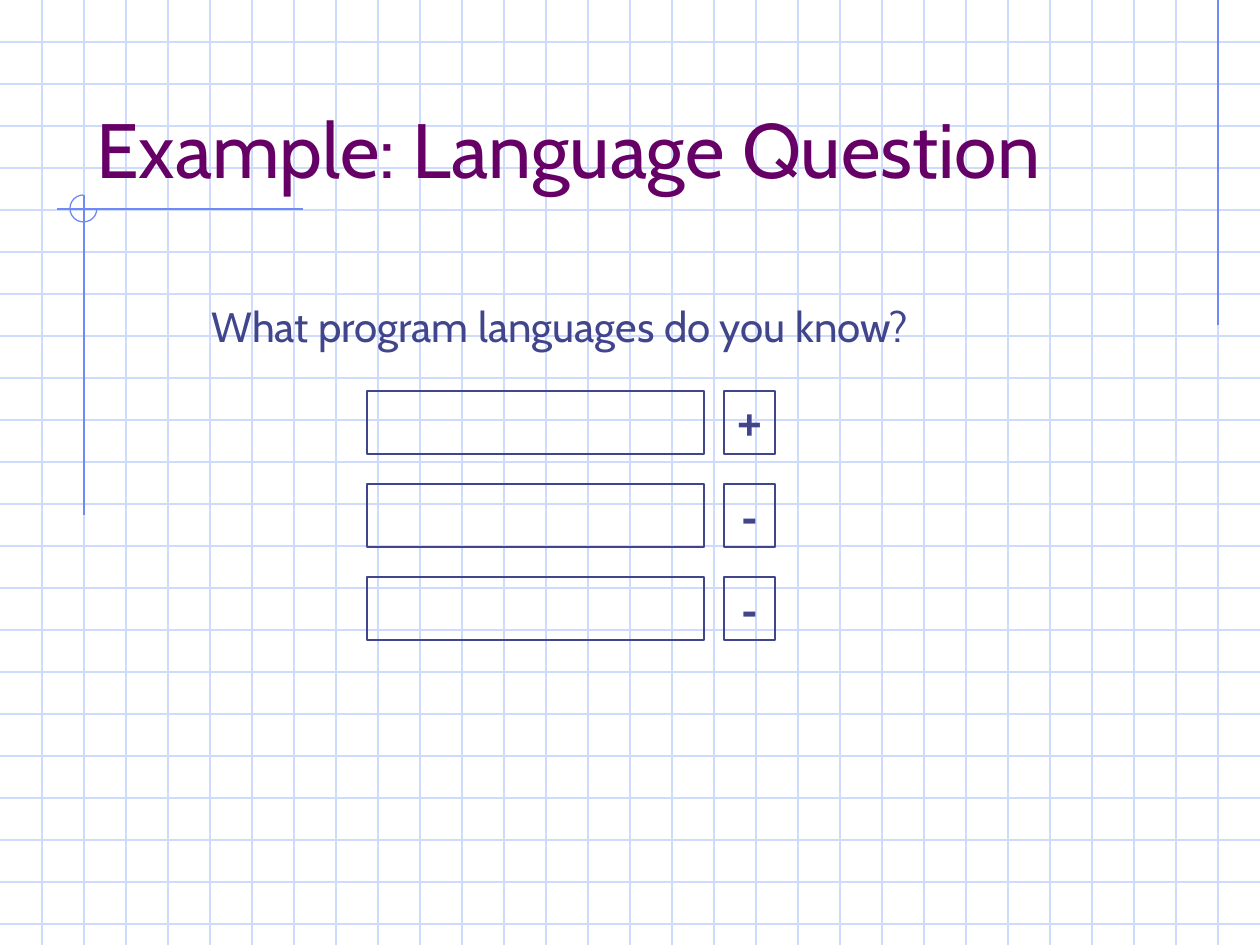
import pptx
import pptx.dml.color
import pptx.enum.shapes
import pptx.enum.text
import pptx.oxml.xmlchemy
import pptx.util

EMU_PER_PX = 914400 / 126
WIDTH, HEIGHT = 1260, 945
GRID_STEP = 42

GRID_BLUE = pptx.dml.color.RGBColor(0xCF, 0xDB, 0xFD)
ACCENT_BLUE = pptx.dml.color.RGBColor(0x6F, 0x89, 0xF7)
PURPLE = pptx.dml.color.RGBColor(0x66, 0x00, 0x66)
INDIGO = pptx.dml.color.RGBColor(0x40, 0x45, 0x8C)

SHAPES = pptx.enum.shapes.MSO_SHAPE
ALIGN = pptx.enum.text.PP_ALIGN
ANCHOR = pptx.enum.text.MSO_ANCHOR


def px(*lengths):
    return [pptx.util.Emu(round(length * EMU_PER_PX)) for length in lengths]


class SlideBuilder:
    line_width = pptx.util.Pt(0.75)
    body_font = "Cabin"
    symbol_font = "Courier New"

    def __init__(self, slide):
        self.slide = slide

    def line(self, x1, y1, x2, y2, color):
        connector = self.slide.shapes.add_connector(
            pptx.enum.shapes.MSO_CONNECTOR.STRAIGHT, *px(x1, y1, x2, y2))
        connector.line.color.rgb = color
        connector.line.width = self.line_width
        properties = connector._element.spPr
        properties.append(pptx.oxml.xmlchemy.OxmlElement("a:effectLst"))

    def outline(self, preset, left, top, width, height, color):
        shape = self.slide.shapes.add_shape(preset, *px(left, top, width, height))
        shape.shadow.inherit = False
        shape.fill.background()
        shape.line.color.rgb = color
        shape.line.width = self.line_width
        return shape

    def text(self, text, left, top, width, height, size, color, font=None,
             bold=False, align=ALIGN.LEFT, anchor=ANCHOR.TOP, wrap=True):
        box = self.slide.shapes.add_textbox(*px(left, top, width, height))
        frame = box.text_frame
        frame.word_wrap = wrap
        frame.vertical_anchor = anchor
        paragraph = frame.paragraphs[0]
        paragraph.text = text
        paragraph.alignment = align
        paragraph.font.name = font or self.body_font
        paragraph.font.size = pptx.util.Pt(size)
        paragraph.font.bold = bold
        paragraph.font.color.rgb = color


def main():
    presentation = pptx.Presentation()
    presentation.slide_width, presentation.slide_height = px(WIDTH, HEIGHT)
    slide = presentation.slides.add_slide(presentation.slide_layouts[6])
    builder = SlideBuilder(slide)

    # Graph paper
    for y in range(GRID_STEP, HEIGHT, GRID_STEP):
        builder.line(0, y, WIDTH, y, GRID_BLUE)
    for x in range(GRID_STEP, WIDTH, GRID_STEP):
        builder.line(x, 0, x, HEIGHT, GRID_BLUE)

    # Accent lines and three-quarter circle
    builder.line(1218, 0, 1218, 325, ACCENT_BLUE)
    builder.line(303, 209, 57, 209, ACCENT_BLUE)
    builder.line(84, 195, 84, 515, ACCENT_BLUE)
    arc = builder.outline(SHAPES.ARC, 70, 195, 27, 27, ACCENT_BLUE)
    arc.adjustments[0] = 0
    arc.adjustments[1] = 162  # 270 degrees

    # Title and question
    builder.text("Example: Language Question", 84, 42, 1071, 158, 44, PURPLE,
                 anchor=ANCHOR.BOTTOM)
    builder.text("What program languages do you know?", 199, 294, 813, 63, 24, INDIGO)

    # Answer fields, each with its add or remove button
    for row, symbol in enumerate(["+", "-", "-"]):
        top = 391 + 93 * row
        builder.outline(SHAPES.RECTANGLE, 367, top, 337, 63, INDIGO)
        builder.text(symbol, 724, top, 51, 63, 24, INDIGO, builder.symbol_font,
                     bold=True, align=ALIGN.CENTER, wrap=False)
        builder.outline(SHAPES.RECTANGLE, 724, top, 51, 63, INDIGO)

    presentation.save("out.pptx")


if __name__ == "__main__":
    main()
